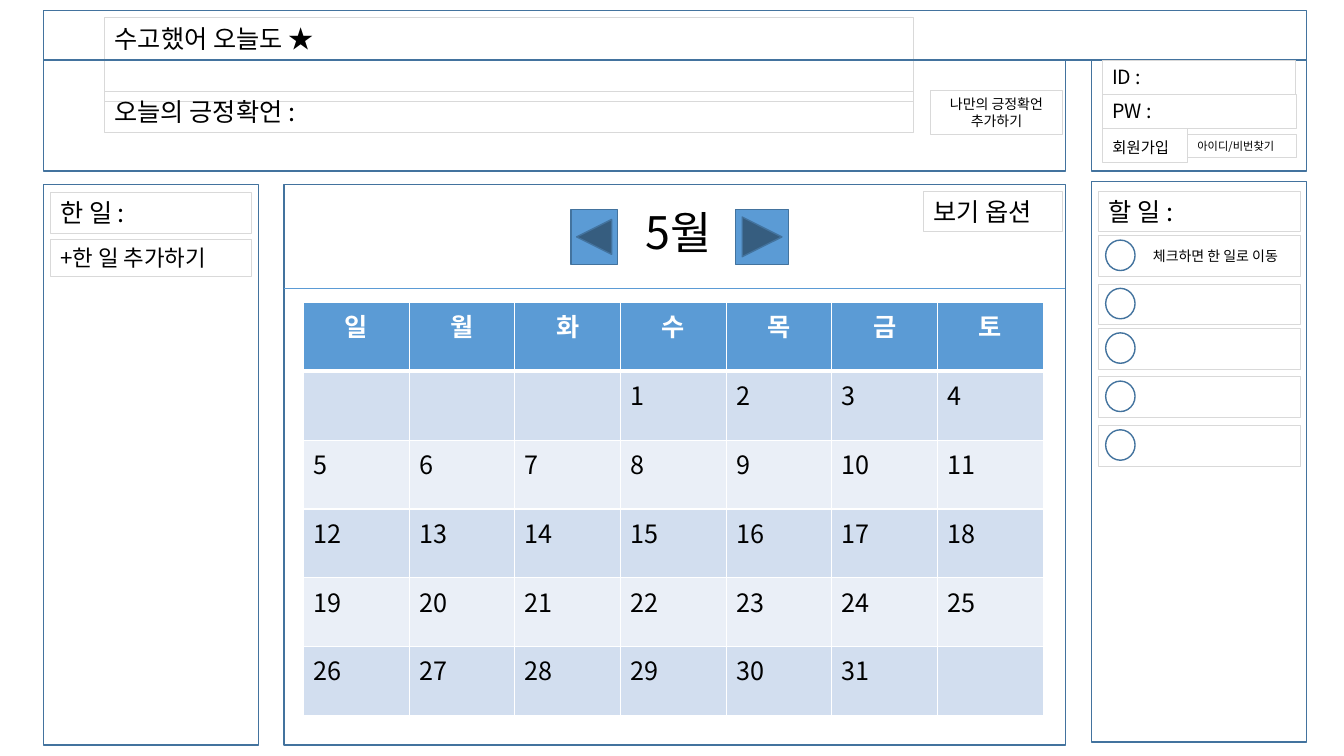
from dataclasses import dataclass

from lxml.etree import SubElement
from pptx import Presentation
from pptx.dml.color import RGBColor
from pptx.enum.shapes import MSO_CONNECTOR, MSO_SHAPE
from pptx.enum.text import MSO_ANCHOR, MSO_AUTO_SIZE, PP_ALIGN
from pptx.oxml.ns import qn
from pptx.util import Pt


@dataclass(frozen=True)
class Theme:
    font: str = "Noto Sans CJK KR"
    ink: str = "000000"
    white: str = "FFFFFF"
    panel_line: str = "43739E"
    field_line: str = "D9D9D9"
    accent: str = "5B9BD5"
    band_dark: str = "D2DEEF"
    band_light: str = "EAEFF7"
    month: float = 32
    heading: float = 18
    action: float = 16
    login: float = 14
    sign_up: float = 11
    note: float = 10
    small: float = 8


THEME = Theme()


@dataclass(frozen=True)
class Area:
    left: float
    top: float
    width: float
    height: float

    def place(self) -> tuple:
        return Pt(self.left), Pt(self.top), Pt(self.width), Pt(self.height)


@dataclass(frozen=True)
class Span:
    text: str
    size: float


@dataclass(frozen=True)
class Label:
    area: Area
    paras: tuple[tuple[Span, ...], ...]
    bordered: bool = True
    align: PP_ALIGN = PP_ALIGN.LEFT


def one_line(area: Area, text: str, size: float, bordered: bool = True) -> Label:
    return Label(area, ((Span(text, size),),), bordered)


PANELS = (
    Area(203, 131.75, 558, 400.5),    # calendar
    Area(779.75, 129.5, 153.5, 400.5),  # to do
    Area(31, 131.75, 153.5, 400.5),   # done
    Area(31, 43.25, 730, 79),         # affirmation
    Area(779.75, 43.25, 153.5, 79),   # login
    Area(31, 7.5, 902.25, 35.5),      # header
)
TITLE = one_line(Area(74.75, 12.75, 577.5, 29), "수고했어 오늘도 ★", THEME.heading)
LABELS = (
    one_line(Area(74.75, 65.5, 577.5, 29), "오늘의 긍정확언 :", THEME.heading),
    Label(Area(664.5, 64.75, 94.5, 31.5),
          ((Span("나만의 긍정확언", THEME.note),), (Span("추가하기", THEME.note),)),
          align=PP_ALIGN.CENTER),
    one_line(Area(787.25, 43, 138.5, 24.25), "ID :", THEME.login),
    one_line(Area(787.5, 67.25, 138.5, 24.25), "PW :", THEME.login),
    Label(Area(787.5, 92, 60.75, 24.25),
          ((Span("회원가입", THEME.sign_up), Span(" ", THEME.login)),)),
    one_line(Area(848.25, 95.75, 78.25, 17), "아이디/비번찾기", THEME.small),
    one_line(Area(36, 137.5, 144, 29), "한 일 :", THEME.heading),
    one_line(Area(36, 171, 144, 26.75), "+한 일 추가하기", THEME.action),
    one_line(Area(784.75, 136.5, 144, 29), "할 일 :", THEME.heading),
    one_line(Area(816.5, 173.25, 117, 19.5), "체크하면 한 일로 이동", THEME.note, False),
    one_line(Area(454.25, 143, 86.5, 46), "5월", THEME.month, False),
    one_line(Area(659.75, 136.5, 99.5, 29), "보기 옵션", THEME.heading),
)
TODO_TOPS = (168.5, 203, 234.75, 269.25, 304)
MONTH_BUTTONS = (
    (MSO_SHAPE.ACTION_BUTTON_BACK_OR_PREVIOUS, Area(407.75, 149.75, 33.25, 39)),
    (MSO_SHAPE.ACTION_BUTTON_FORWARD_OR_NEXT, Area(525.5, 149.75, 37.75, 39)),
)
CALENDAR = Area(216.75, 216, 528.5, 295.2)
WEEKDAYS = "일월화수목금토"
WEEKS, FIRST_COLUMN, LAST_DAY = 5, 3, 31


def color(value: str) -> RGBColor:
    return RGBColor.from_string(value)


def draw_line(shape, value: str, width: float) -> None:
    shape.line.color.rgb = color(value)
    shape.line.width = Pt(width)


def add_outline(shapes, kind: MSO_SHAPE, area: Area, line: str, width: float):
    shape = shapes.add_shape(kind, *area.place())
    shape.shadow.inherit = False
    shape.fill.background()
    draw_line(shape, line, width)
    return shape


def add_span(para, span: Span, ink: str = THEME.ink, bold: bool = False) -> None:
    run = para.add_run()
    run.text = span.text
    font = run.font
    font.size, font.bold, font.name = Pt(span.size), bold, THEME.font
    font.color.rgb = color(ink)
    SubElement(run._r.get_or_add_rPr(), qn("a:ea"), typeface=THEME.font)


def write_label(shape, label: Label) -> None:
    frame = shape.text_frame
    frame.word_wrap = True
    frame.auto_size = MSO_AUTO_SIZE.SHAPE_TO_FIT_TEXT
    frame.vertical_anchor = MSO_ANCHOR.TOP
    for index, spans in enumerate(label.paras):
        para = frame.add_paragraph() if index else frame.paragraphs[0]
        para.alignment = label.align
        for span in spans:
            add_span(para, span)


def add_label(page, label: Label) -> None:
    box = page.shapes.add_textbox(*label.area.place())
    if label.bordered:
        draw_line(box, THEME.field_line, 0.75)
    write_label(box, label)


def add_todo(page, top: float) -> None:
    group = page.shapes.add_group_shape()
    add_outline(group.shapes, MSO_SHAPE.RECTANGLE, Area(784.75, top, 144, 29),
                THEME.field_line, 0.75)
    add_outline(group.shapes, MSO_SHAPE.OVAL, Area(789.75, top + 3, 21, 21.75),
                THEME.panel_line, 1)


def add_cell_borders(cell, bottom: float) -> None:
    properties = cell._tc.get_or_add_tcPr()
    widths = {"a:lnL": 1, "a:lnR": 1, "a:lnT": 1, "a:lnB": bottom}
    for index, (side, width) in enumerate(widths.items()):
        line = SubElement(properties, qn(side), w=str(Pt(width)))
        fill = SubElement(line, qn("a:solidFill"))
        SubElement(fill, qn("a:srgbClr"), val=THEME.white)
        properties.insert(index, line)


def add_calendar(page) -> None:
    rows, columns = WEEKS + 1, len(WEEKDAYS)
    table = page.shapes.add_table(rows, columns, *CALENDAR.place()).table
    for column in table.columns:
        column.width = Pt(CALENDAR.width / columns)
    for row_index, row in enumerate(table.rows):
        row.height = Pt(CALENDAR.height / rows)
        header = row_index == 0
        band = THEME.band_dark if row_index % 2 else THEME.band_light
        for column_index, cell in enumerate(row.cells):
            cell.fill.solid()
            cell.fill.fore_color.rgb = color(THEME.accent if header else band)
            add_cell_borders(cell, 3 if header else 1)
            para = cell.text_frame.paragraphs[0]
            day = (row_index - 1) * columns + column_index - FIRST_COLUMN + 1
            if header:
                para.alignment = PP_ALIGN.CENTER
                add_span(para, Span(WEEKDAYS[column_index], THEME.heading), THEME.white, True)
            elif 1 <= day <= LAST_DAY:
                add_span(para, Span(str(day), THEME.heading))


def main() -> None:
    deck = Presentation()
    deck.slide_width, deck.slide_height = Pt(960), Pt(540)
    page = deck.slides.add_slide(deck.slide_layouts[5])

    # Panels and title
    for area in PANELS:
        add_outline(page.shapes, MSO_SHAPE.RECTANGLE, area, THEME.panel_line, 1)
    title = page.shapes.title
    title.left, title.top, title.width, title.height = TITLE.area.place()
    draw_line(title, THEME.field_line, 0.75)
    write_label(title, TITLE)

    # To-do rows and labels
    for top in TODO_TOPS:
        add_todo(page, top)
    for label in LABELS:
        add_label(page, label)

    # Calendar with its rule and month buttons
    rule = page.shapes.add_connector(MSO_CONNECTOR.STRAIGHT, Pt(203), Pt(206), Pt(761), Pt(206))
    draw_line(rule, THEME.accent, 0.5)
    SubElement(rule._element.spPr, qn("a:effectLst"))
    add_calendar(page)
    for kind, area in MONTH_BUTTONS:
        button = add_outline(page.shapes, kind, area, THEME.panel_line, 1)
        button.fill.solid()
        button.fill.fore_color.rgb = color(THEME.accent)

    deck.save("out.pptx")


if __name__ == "__main__":
    main()
